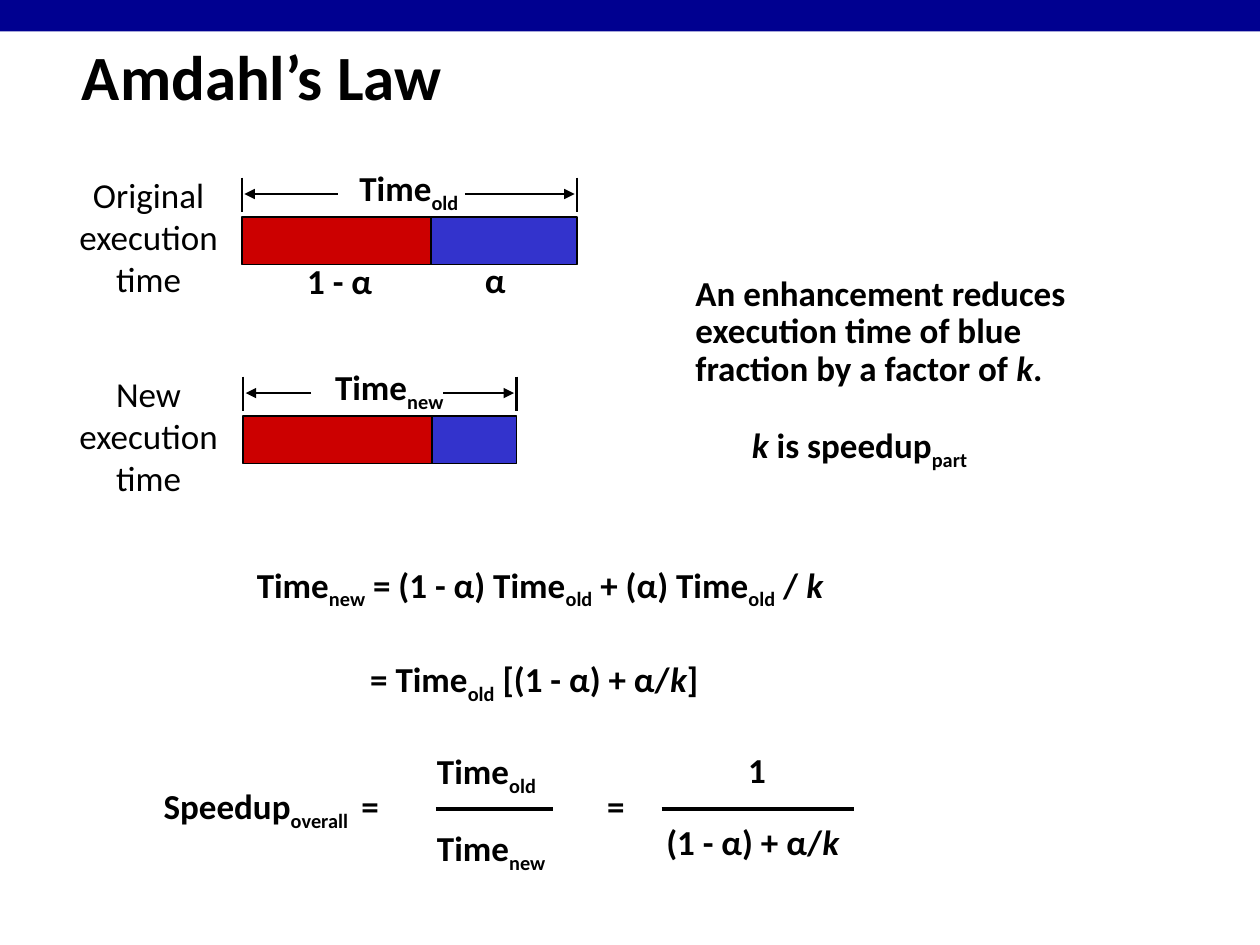
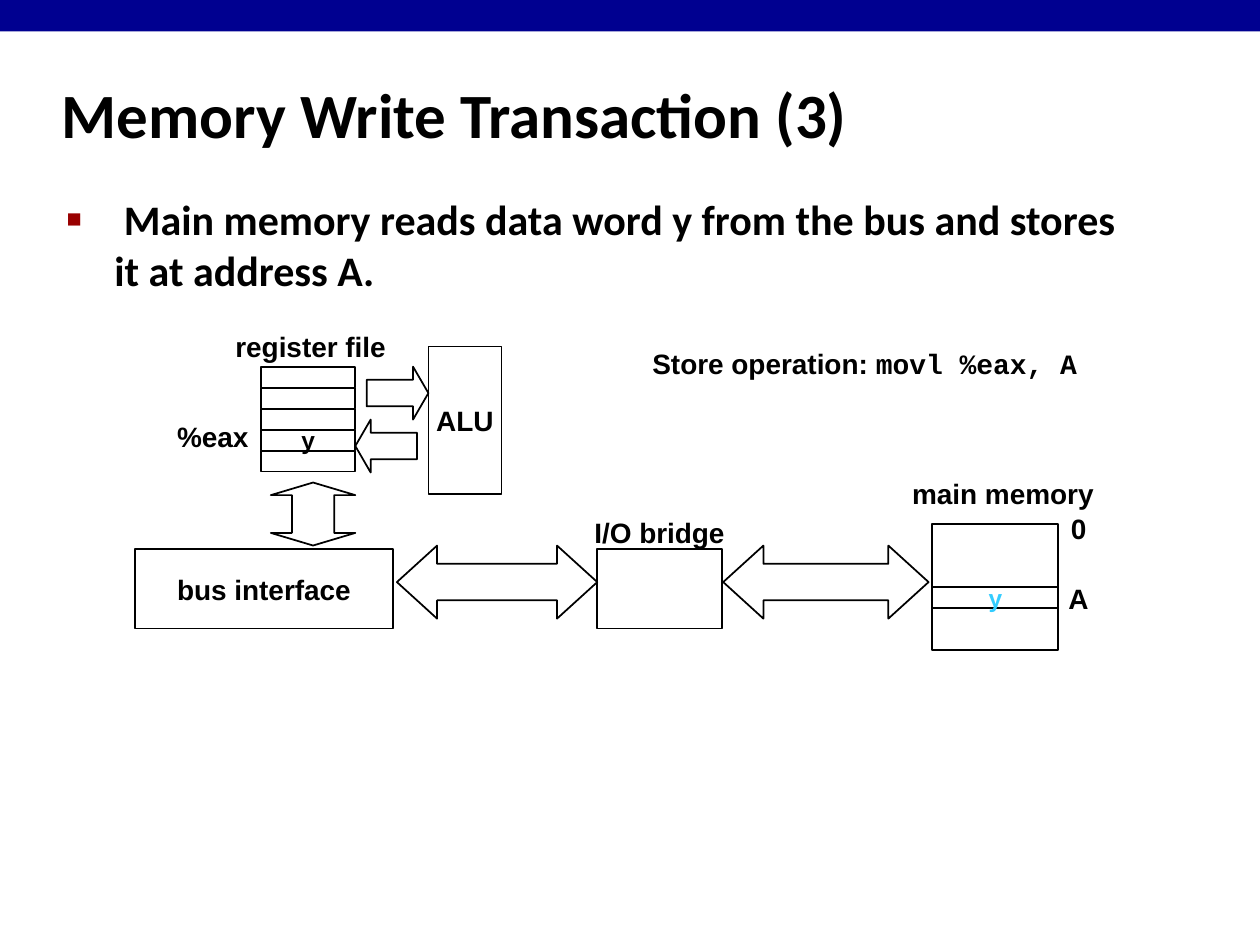
from dataclasses import dataclass

from lxml import etree
from pptx import Presentation, util as u
from pptx.dml.color import RGBColor
from pptx.enum import shapes, text
from pptx.oxml import ns

SHAPE = shapes.MSO_SHAPE
LEFT, CENTER = text.PP_ALIGN.LEFT, text.PP_ALIGN.CENTER
TOP, MIDDLE = text.MSO_ANCHOR.TOP, text.MSO_ANCHOR.MIDDLE


@dataclass(frozen=True)
class Theme:
    ink: str = "000000"
    paper: str = "FFFFFF"
    band: str = "000090"
    red: str = "CC0000"
    blue: str = "3333CC"
    cyan: str = "33CCFF"
    bullet: str = "990000"
    body_font: str = "Calibri"
    label_font: str = "Arial"
    code_font: str = "Courier New"
    title_size: int = 36
    bullet_size: int = 24
    formula_size: int = 20
    label_size: int = 16
    cell_size: int = 14


THEME = Theme()

# Formatted spans: (text, format)
SUB, ITALIC, CODE = "sub", "italic", "code"
OLD, NEW, K = ("old", SUB), ("new", SUB), ("k", ITALIC)


def add_xml(parent, tag, **attributes):
    return etree.SubElement(parent, ns.qn(tag), attributes)


def write(frame, *paragraphs, size=THEME.formula_size, font=THEME.body_font,
          color=THEME.ink, bold=True, align=LEFT, anchor=TOP, wrap=True,
          inset=0.1, spacing=1.0, gap=0, bullet=None):
    """Fill a text frame; each paragraph is a list of strings and spans."""
    frame.word_wrap = wrap
    frame.auto_size = text.MSO_AUTO_SIZE.NONE
    frame.vertical_anchor = anchor
    frame.margin_left = frame.margin_right = u.Inches(inset)
    frame.margin_top = frame.margin_bottom = u.Inches(0.05)
    for index, spans in enumerate(paragraphs):
        para = frame.add_paragraph() if index else frame.paragraphs[0]
        if bullet:
            add_bullet(para, bullet)
        para.alignment = align
        para.line_spacing = spacing
        para.space_before = u.Pt(gap if index else 0)
        for item in spans:
            words, style = (item, None) if isinstance(item, str) else item
            span = para.add_run()
            span.text = words
            span.font.name = THEME.code_font if style == CODE else font
            span.font.size = u.Pt(size)
            span.font.bold = bold
            span.font.italic = style == ITALIC
            span.font.color.rgb = RGBColor.from_string(color)
            if style == SUB:
                span.font._element.set("baseline", "-25000")


def add_bullet(para, mark):
    props = para._p.get_or_add_pPr()
    indent = u.Inches(0.38)
    props.set("marL", str(indent))
    props.set("indent", str(-indent))
    add_xml(add_xml(props, "a:buClr"), "a:srgbClr", val=THEME.bullet)
    add_xml(props, "a:buSzPct", val="60000")
    add_xml(props, "a:buFont", typeface=THEME.label_font)
    add_xml(props, "a:buChar", char=mark)


def shape_arrow(shape, shaft, head):
    """Set an arrow's shaft width and head length by guide name."""
    guides = shape._element.spPr.find(ns.qn("a:prstGeom")).find(ns.qn("a:avLst"))
    for guide in list(guides):
        guides.remove(guide)
    for name, share in (("adj1", shaft), ("adj2", head)):
        add_xml(guides, "a:gd", name=name, fmla=f"val {round(share * 100000)}")


class Slides:
    """Holds the theme, the deck and the slide being drawn."""

    def __init__(self, theme):
        self.theme = theme
        self.deck = Presentation()
        self.deck.slide_width, self.deck.slide_height = u.Inches(10), u.Inches(7.5)
        self.page = None

    def new_page(self, title, left, top, width, height=0.84):
        first = self.page is None
        self.page = self.deck.slides.add_slide(self.deck.slide_layouts[5])
        if first:
            # The band lives on the master, behind every slide
            band = self.box(0, 0, 10, 0.25, fill=self.theme.band, line=None)
            self.deck.slide_master.shapes._spTree.insert(2, band._element)
        holder = self.page.shapes.title
        holder.left, holder.top = u.Inches(left), u.Inches(top)
        holder.width, holder.height = u.Inches(width), u.Inches(height)
        write(holder.text_frame, [title], size=self.theme.title_size, anchor=MIDDLE)

    def text(self, left, top, width, height, *paragraphs, **style):
        box = self.page.shapes.add_textbox(*map(u.Inches, (left, top, width, height)))
        write(box.text_frame, *paragraphs, **style)

    def label(self, left, top, width, words):
        self.text(left, top, width, 0.37, [words], size=self.theme.label_size,
                  font=self.theme.label_font, align=CENTER, anchor=MIDDLE, wrap=False)

    def box(self, left, top, width, height, kind=SHAPE.RECTANGLE, fill=None,
            line=THEME.ink, head=None, words=None, size=THEME.label_size,
            color=THEME.ink):
        shape = self.page.shapes.add_shape(
            kind, *map(u.Inches, (left, top, width, height)))
        shape.shadow.inherit = False
        if fill:
            shape.fill.solid()
            shape.fill.fore_color.rgb = RGBColor.from_string(fill)
        else:
            shape.fill.background()
        if line:
            shape.line.color.rgb = RGBColor.from_string(line)
            shape.line.width = u.Pt(1)
        else:
            shape.line.fill.background()
        if head:
            shape_arrow(shape, 0.5, head)
        if words:
            write(shape.text_frame, [words], size=size, color=color, wrap=False,
                  font=self.theme.label_font, align=CENTER, anchor=MIDDLE)
        return shape

    def line(self, start, end, width=1.5, arrow=False):
        link = self.page.shapes.add_connector(
            shapes.MSO_CONNECTOR.STRAIGHT, *map(u.Inches, (*start, *end)))
        link.line.color.rgb = RGBColor.from_string(self.theme.ink)
        link.line.width = u.Pt(width)
        if arrow:
            add_xml(link.line._get_or_add_ln(), "a:tailEnd", type="triangle")
        add_xml(link._element.spPr, "a:effectLst")

    def time_bar(self, caption, left, top, blue_width, symbol, symbol_box, gap):
        """A red and blue bar, its caption and the dimension line above it."""
        red_width = 1.5
        right = left + red_width + blue_width
        self.box(left, top, red_width, 0.38, fill=self.theme.red)
        self.box(left + red_width, top, blue_width, 0.38, fill=self.theme.blue)
        self.text(0.51, top - 0.39, 1.34, 1.1, [caption], bold=False, align=CENTER)
        symbol_left, symbol_width = symbol_box
        self.text(symbol_left, top - 0.44, symbol_width, 0.44, ["Time", symbol],
                  align=CENTER, anchor=MIDDLE, wrap=False, inset=0.05, spacing=0.9)
        level = top - 0.18
        for edge, inner, nudge in ((left, gap[0], 0.02), (right, gap[1], -0.02)):
            self.line((edge, top - 0.31), (edge, top - 0.04))
            self.line((inner, level), (edge + nudge, level), arrow=True)


def amdahl(show):
    show.new_page("Amdahl’s Law", 0.55, 0.18, 8.84)

    # Execution time before and after
    show.time_bar("Original execution time", 1.92, 1.72, 1.16, OLD,
                  (2.8, 0.89), (2.68, 3.69))
    show.time_bar("New execution time", 1.93, 3.3, 0.67, NEW,
                  (2.61, 0.96), (2.47, 3.52))
    show.text(2.34, 2.01, 0.8, 0.44, ["1 - α"])
    show.text(3.75, 2, 0.5, 0.44, ["α"])

    # Explanation
    show.text(5.47, 2.14, 3.2, 1, [
        "An enhancement reduces execution time of blue fraction by a factor of ",
        K, "."], anchor=MIDDLE, inset=0.05, spacing=0.9)
    show.text(5.87, 3.31, 2.1, 0.48, [K, " is speedup", ("part", SUB)])

    # Derivation
    show.text(1.94, 4.42, 5, 0.48, [
        "Time", NEW, " = (1 - α) Time", OLD, " + (α) Time", OLD, " / ", K])
    show.text(2.84, 5.17, 3.1, 0.48, ["= Time", OLD, " [(1 - α) + α/", K, "]"])

    # Overall speedup as two fractions
    show.text(1.2, 6.18, 1.7, 0.48, ["Speedup", ("overall", SUB)])
    for left in (2.77, 4.72):
        show.text(left, 6.18, 0.4, 0.43, ["="])
    show.text(3.37, 5.92, 1.2, 1.03, ["Time", OLD], ["Time", NEW],
              spacing=0.85, gap=21)
    show.text(5.84, 5.89, 0.4, 0.43, ["1"])
    show.text(5.19, 6.46, 1.8, 0.43, ["(1 - α) + α/", K])
    for left, right in ((3.46, 4.39), (5.25, 6.78)):
        show.line((left, 6.42), (right, 6.42), width=2)


def memory_write(show):
    theme = show.theme
    show.new_page("Memory Write Transaction (3)", 0.39, 0.48, 8.3)
    show.text(0.43, 1.49, 8.64, 1, [
        " Main memory reads data word y from the bus and stores it at address A."],
        size=theme.bullet_size, bullet="■")

    # Register file and ALU
    cell = 0.5 / 3
    for row, value in enumerate([None, None, None, "y", None]):
        show.box(2.07, 2.91 + row * cell, 0.75, cell, words=value,
                 size=theme.cell_size)
    show.box(2.91, 2.91, 0.49, 0.42, SHAPE.RIGHT_ARROW, head=0.29)
    show.box(2.82, 3.33, 0.49, 0.42, SHAPE.LEFT_ARROW, head=0.29)
    show.box(3.4, 2.75, 0.58, 1.17, words="ALU")

    # Bus interface, bridge and the buses between them
    show.box(2.15, 3.83, 0.67, 0.5, SHAPE.UP_DOWN_ARROW, head=0.2)
    show.box(1.07, 4.36, 2.05, 0.63, fill=theme.paper, words="bus interface")
    show.box(4.74, 4.36, 0.99, 0.63)
    for left, width in ((3.15, 1.59), (5.74, 1.63)):
        show.box(left, 4.33, width, 0.58, SHAPE.LEFT_RIGHT_ARROW, head=0.55)

    # Main memory
    show.box(7.4, 4.16, 1, 1)
    show.box(7.4, 4.66, 1, cell, words="y", size=theme.cell_size, color=theme.cyan)

    # Labels
    for left, top, width, words in (
            (1.77, 2.56, 1.39, "register file"),
            (1.31, 3.28, 0.76, "%eax"),
            (4.62, 4.04, 1.23, "I/O bridge"),
            (7.14, 3.73, 1.64, "main memory"),
            (8.4, 4.01, 0.32, "0"),
            (8.38, 4.56, 0.36, "A")):
        show.label(left, top, width, words)
    show.text(5.08, 2.7, 3.7, 0.64, ["Store operation: ", ("movl %eax, A", CODE)],
              size=theme.label_size, font=theme.label_font)


def main():
    show = Slides(THEME)
    amdahl(show)
    memory_write(show)
    show.deck.save("out.pptx")


if __name__ == "__main__":
    main()
